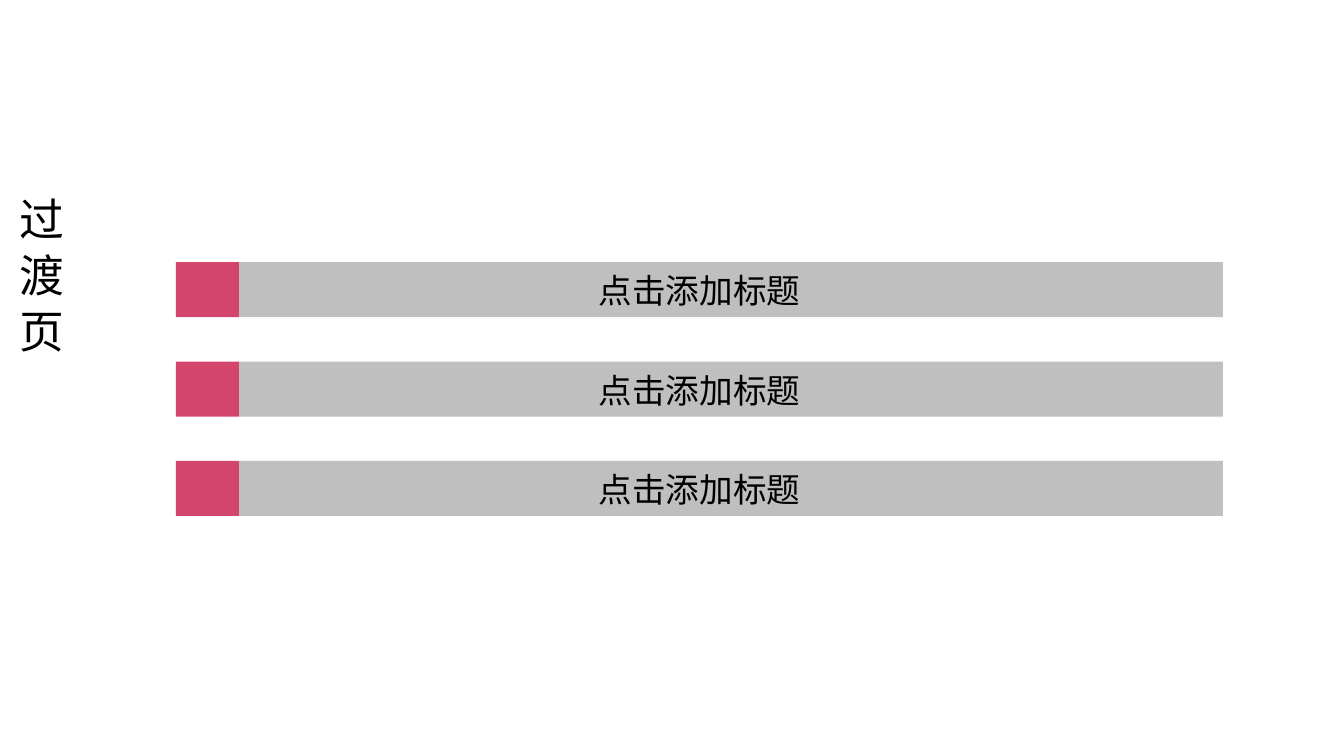
import pptx
import pptx.util
import pptx.dml.color
import pptx.enum.shapes
import pptx.enum.text
import pptx.oxml.ns
import lxml.etree

# Content
HEADING = "过 渡 页"
TITLES = ["点击添加标题", "点击添加标题", "点击添加标题"]

# Style
FONT = "Noto Sans CJK SC"
COLORS = {"marker": "D4456D", "bar": "BFBFBF", "text": "000000"}
HEADING_FONT = {"name": FONT, "size": pptx.util.Pt(24)}
TITLE_FONT = {"name": FONT, "size": pptx.util.Pt(18)}

# Grid, in inches, on a 16:9 slide
WIDTH = 10
HEIGHT = WIDTH * 9 / 16
TOP, PITCH, ROW_H = 1.95, 0.74, 0.41
MARKER_X, MARKER_W = 1.31, 0.47
BAR_X, BAR_W = MARKER_X + MARKER_W, 7.32
TITLE_W, TITLE_H = 2.46, 0.4
TITLE_X = MARKER_X + (MARKER_W + BAR_W - TITLE_W) / 2  # centred on the row


def rgb(key):
    return pptx.dml.color.RGBColor.from_string(COLORS[key])


def inches(*box):
    return [pptx.util.Inches(v) for v in box]


def add_rect(shapes, box, color):
    sp = shapes.add_shape(pptx.enum.shapes.MSO_SHAPE.RECTANGLE, *inches(*box))
    sp.shadow.inherit = False
    sp.fill.solid()
    sp.fill.fore_color.rgb = rgb(color)
    sp.line.fill.background()


def add_text(shapes, box, text, font, wrap=True, align=None):
    tf = shapes.add_textbox(*inches(*box)).text_frame
    tf.word_wrap = wrap
    tf.auto_size = pptx.enum.text.MSO_AUTO_SIZE.SHAPE_TO_FIT_TEXT
    p = tf.paragraphs[0]
    p.alignment = align
    r = p.add_run()
    r.text = text
    r.font.color.rgb = rgb("text")
    for name, value in font.items():
        setattr(r.font, name, value)
    ea = lxml.etree.SubElement(r.font._element, pptx.oxml.ns.qn("a:ea"))
    ea.set("typeface", font["name"])
    return tf


prs = pptx.Presentation()
prs.slide_width, prs.slide_height = inches(WIDTH, HEIGHT)
s = prs.slides.add_slide(prs.slide_layouts[6])

# Rows: a marker, then a group of bar and title
for i, title in enumerate(TITLES):
    y = TOP + i * PITCH
    add_rect(s.shapes, (MARKER_X, y, MARKER_W, ROW_H), "marker")
    row = s.shapes.add_group_shape().shapes
    add_rect(row, (BAR_X, y, BAR_W, ROW_H), "bar")
    add_text(row, (TITLE_X, y + 0.01, TITLE_W, TITLE_H), title, TITLE_FONT,
             align=pptx.enum.text.PP_ALIGN.CENTER)

# Vertical heading at the left edge
tf = add_text(s.shapes, (-0.06, 1.37, 0.61, 1.31), HEADING, HEADING_FONT, wrap=False)
tf._txBody.bodyPr.set("vert", "eaVert")

prs.save("out.pptx")
